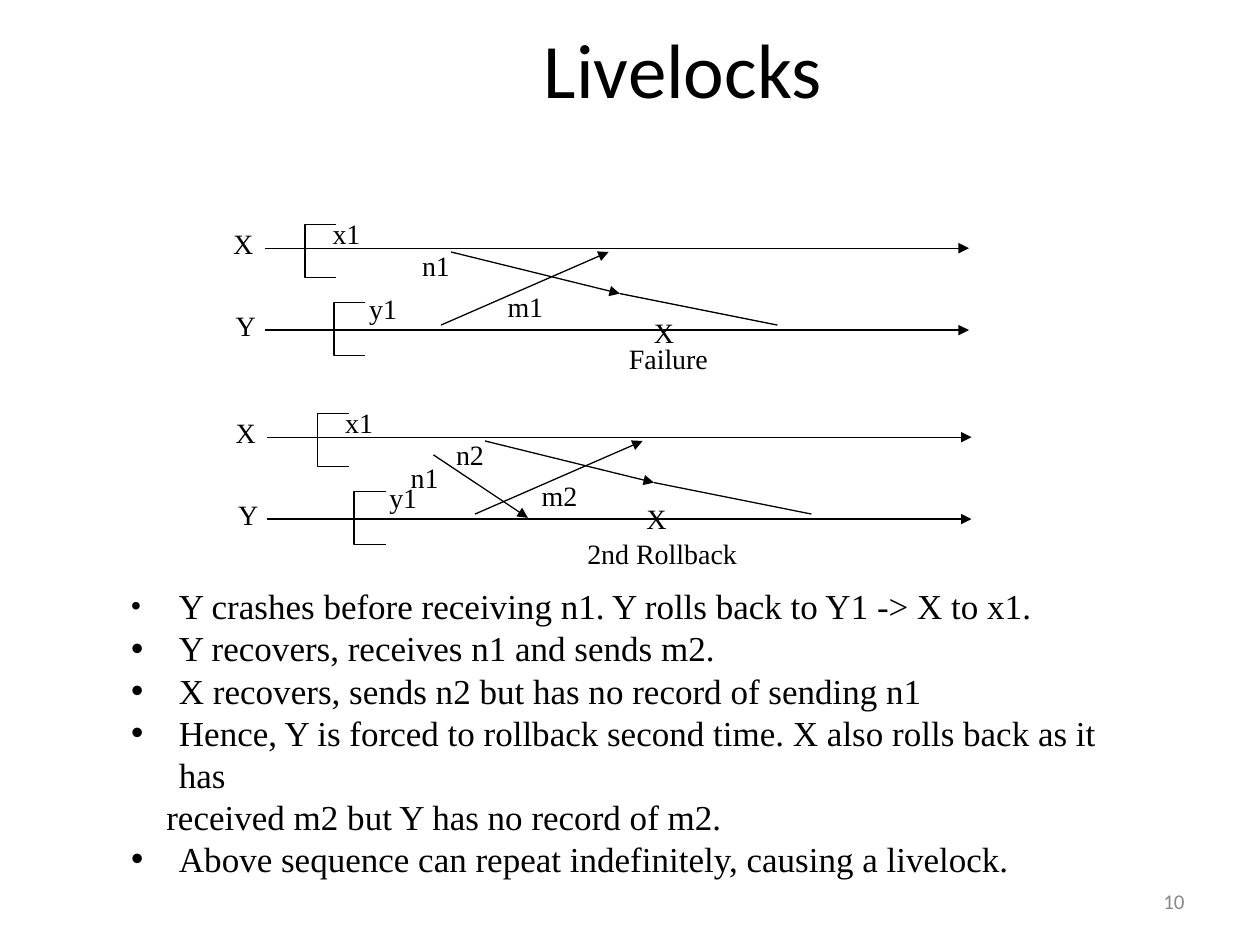
from pptx import Presentation
from pptx.dml.color import RGBColor
from pptx.enum.shapes import MSO_CONNECTOR
from pptx.enum.text import MSO_ANCHOR, MSO_AUTO_SIZE, PP_ALIGN
from pptx.oxml.ns import qn
from pptx.util import Inches, Pt
from lxml.etree import SubElement

INK = {"text": "000000", "line": "000000", "page": "898989"}
SERIF, SANS = "Times New Roman", "Calibri"
POINTS = [
    "Y crashes before receiving n1. Y rolls back to Y1 -> X to x1.",
    "Y recovers, receives n1 and sends m2.",
    "X recovers, sends n2 but has no record of sending n1",
    "Hence, Y is forced to rollback second time. X also rolls back as it has",
    "received m2 but Y has no record of m2.",
    "Above sequence can repeat indefinitely, causing a livelock.",
]


class Deck:
    """Holds the style and the current slide, and draws each kind of element."""

    def __init__(self):
        self.prs = Presentation()
        self.prs.slide_width, self.prs.slide_height = Inches(10), Inches(7.5)
        self.slide = self.prs.slides.add_slide(self.prs.slide_layouts[1])
        self.shapes = self.slide.shapes

    def place(self, shape, left, top, width, height):
        shape.left, shape.top = Inches(left), Inches(top)
        shape.width, shape.height = Inches(width), Inches(height)
        frame = shape.text_frame
        frame.auto_size = MSO_AUTO_SIZE.NONE
        frame.vertical_anchor = MSO_ANCHOR.MIDDLE
        return frame

    def style(self, para, size, face=SERIF, align=PP_ALIGN.CENTER, ink="text"):
        para.alignment = align
        para.font.size, para.font.name = Pt(size), face
        para.font.color.rgb = RGBColor.from_string(INK[ink])

    def title(self, text):
        frame = self.place(self.shapes.title, 1.17, 0.25, 8.5, 1.25)
        frame.margin_top, frame.margin_bottom = 0, Inches(0.67)
        frame.text = text
        self.style(frame.paragraphs[0], 44, SANS)

    def points(self, items):
        frame = self.place(self.slide.placeholders[1], 0.94, 4.76, 8.25, 2.1)
        frame.margin_right = Inches(0.2)
        frame.text = "\n".join(items)
        for num, para in enumerate(frame.paragraphs):
            para.space_before = Pt(0)
            props = para._p.get_or_add_pPr()
            plain = items[num].startswith("received")
            props.set("marL", str(Inches(0.28 if plain else 0.38)))
            props.set("indent", str(Inches(0 if plain else -0.38)))
            if plain:
                SubElement(props, qn("a:buNone"))
            elif num == 0:
                SubElement(props, qn("a:buSzPct")).set("val", "80000")
            self.style(para, 20, align=PP_ALIGN.LEFT)

    def label(self, text, left, top, width=0.42):
        box = self.shapes.add_textbox(0, 0, 0, 0)
        frame = self.place(box, left, top, width, 0.37)
        frame.word_wrap = False
        frame.text = text
        self.style(frame.paragraphs[0], 16)

    def page(self, text):
        box = self.shapes.add_textbox(0, 0, 0, 0)
        frame = self.place(box, 7.17, 6.95, 2.33, 0.4)
        frame.word_wrap = True
        frame.text = text
        self.style(frame.paragraphs[0], 12, SANS, PP_ALIGN.RIGHT, "page")

    def stroke(self, shape):
        shape.line.color.rgb = RGBColor.from_string(INK["line"])
        shape.line.width = Pt(0.75)

    def line(self, x1, y1, x2, y2, head=True):
        ends = [Inches(n) for n in (x1, y1, x2, y2)]
        link = self.shapes.add_connector(MSO_CONNECTOR.STRAIGHT, *ends)
        self.stroke(link)
        if head:
            SubElement(link.line._get_or_add_ln(), qn("a:tailEnd")).set("type", "triangle")
        SubElement(link._element.spPr, qn("a:effectLst"))

    def bracket(self, left, top):
        right, low = left + 0.25, top + 0.42
        pen = self.shapes.build_freeform(Inches(right), Inches(top))
        spots = [(left, top), (left, low), (right, low)]
        pen.add_line_segments([(Inches(x), Inches(y)) for x, y in spots], close=False)
        shape = pen.convert_to_shape()
        shape.fill.background()
        shape.shadow.inherit = False
        self.stroke(shape)

    def chart(self, axis, top, xmark, ymark, send, turn):
        for name, mark, gap, lift, nudge, drop in (
            ("X", xmark, 0, 0.11, 0.12, 0.19),
            ("Y", ymark, 0.65, 0.14, 0.18, 0.22),
        ):
            row = top + gap
            self.line(axis, row, axis + 5.59, row)
            self.label(name, axis - 0.35 + gap * 0.03, row - 0.22, 0.36)
            self.bracket(mark, row - drop)
            self.label(name.lower() + "1", mark + nudge, row - drop - lift)
        self.line(send, top + 0.61, send + 1.33, top + 0.03)
        self.line(send + 0.08, top + 0.03, send + 1.42, top + 0.36)
        self.line(send + 1.42, top + 0.36, send + 2.67, top + 0.61, head=False)
        self.label(f"m{turn}", send + 0.43, top + 0.28, 0.48)
        self.label(f"n{turn}", send - 0.25, top - 0.05)


def main():
    deck = Deck()
    deck.title("Livelocks")
    deck.chart(2.1, 1.97, 2.42, 2.65, 3.5, 1)
    deck.label("X", 5.09, 2.45, 0.36)
    deck.label("Failure", 4.89, 2.66, 0.83)
    deck.chart(2.12, 3.47, 2.52, 2.81, 3.77, 2)
    deck.line(3.44, 3.61, 4.19, 4.11)
    deck.label("n1", 3.16, 3.6)
    deck.label("X", 5.03, 3.93, 0.36)
    deck.label("2nd Rollback", 4.56, 4.21, 1.39)
    deck.points(POINTS)
    deck.page("10")
    deck.prs.save("out.pptx")


if __name__ == "__main__":
    main()
